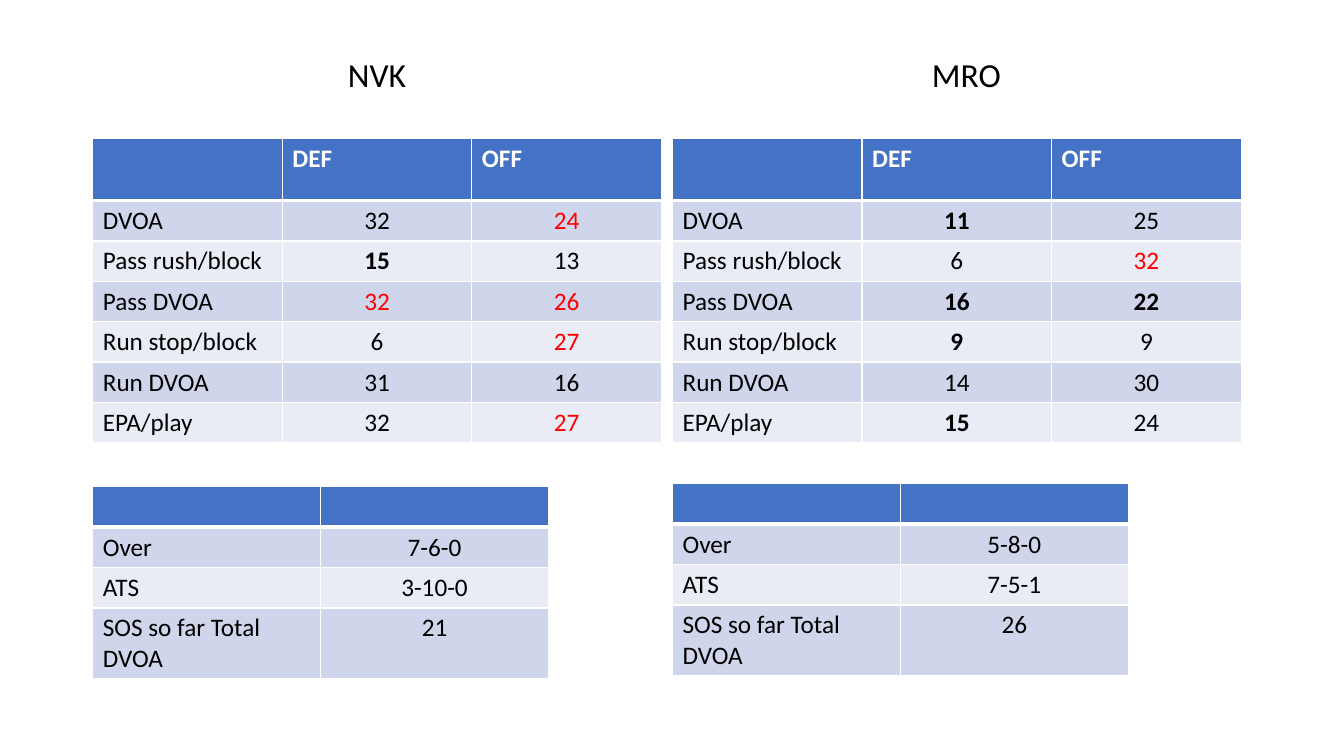
"""Build a slide comparing two teams in tables, where * marks a bold value and ! a red one."""
import pptx
import pptx.dml.color
import pptx.enum.text
import pptx.oxml
import pptx.oxml.ns
import pptx.util

Inches = pptx.util.Inches
Pt = pptx.util.Pt
CENTER = pptx.enum.text.PP_ALIGN.CENTER
HEADER_FILL = "4472C4"
BAND_FILLS = ["E9EBF5", "CFD5EA"]
HEADER_RULE = (
    f'<a:lnB {pptx.oxml.ns.nsdecls("a")} w="{Pt(3)}">'
    '<a:solidFill><a:srgbClr val="FFFFFF"/></a:solidFill></a:lnB>')


def color(hex_string):
    return pptx.dml.color.RGBColor.from_string(hex_string)


def add_grid(slide, left, top, column_width, row_heights, rows):
    column_count = len(rows[0])
    table = slide.shapes.add_table(
        len(rows), column_count, Inches(left), Inches(top),
        Inches(column_width * column_count), Inches(sum(row_heights))).table
    for column in table.columns:
        column.width = Inches(column_width)
    for row_index, values in enumerate(rows):
        table.rows[row_index].height = Inches(row_heights[row_index])
        is_header = row_index == 0
        for column_index, value in enumerate(values):
            cell = table.cell(row_index, column_index)
            cell.fill.solid()
            cell.fill.fore_color.rgb = color(HEADER_FILL if is_header else BAND_FILLS[row_index % 2])
            if is_header:
                cell._tc.get_or_add_tcPr().insert(0, pptx.oxml.parse_xml(HEADER_RULE))
            paragraph = cell.text_frame.paragraphs[0]
            paragraph.text = value.rstrip("*!")
            if column_index and not is_header:
                paragraph.alignment = CENTER
            for run in paragraph.runs:
                run.font.name = "Calibri"
                run.font.size = Pt(18)
                run.font.bold = is_header or value.endswith("*")
                text_color = "FF0000" if value.endswith("!") else "000000"
                run.font.color.rgb = color("FFFFFF" if is_header else text_color)


ranking_labels = ["DVOA", "Pass rush/block", "Pass DVOA", "Run stop/block", "Run DVOA", "EPA/play"]
record_labels = ["Over", "ATS", "SOS so far Total DVOA"]
teams = [
    {"name": "NVK", "title_left": 0.92, "title_width": 5.64, "left": 0.92, "record_top": 4.83,
     "defense": ["32", "15*", "32!", "6", "31", "32"],
     "offense": ["24!", "13", "26!", "27!", "16", "27!"],
     "records": ["7-6-0", "3-10-0", "21"]},
    {"name": "MRO", "title_left": 6.75, "title_width": 5.67, "left": 6.67, "record_top": 4.8,
     "defense": ["11*", "6", "16*", "9*", "14", "15*"],
     "offense": ["25", "32!", "22*", "9", "30", "24"],
     "records": ["5-8-0", "7-5-1", "26"]},
]

presentation = pptx.Presentation()
presentation.slide_width = Inches(13.33)
presentation.slide_height = Inches(7.5)
slide = presentation.slides.add_slide(presentation.slide_layouts[6])

for team in teams:
    title = slide.shapes.add_textbox(
        Inches(team["title_left"]), Inches(0.09), Inches(team["title_width"]), Inches(0.9))
    title.text_frame.word_wrap = True
    title.text_frame.vertical_anchor = pptx.enum.text.MSO_ANCHOR.BOTTOM
    paragraph = title.text_frame.paragraphs[0]
    paragraph.text = team["name"]
    paragraph.alignment = CENTER
    paragraph.line_spacing = 0.9
    paragraph.space_before = Pt(10)
    font = paragraph.runs[0].font
    font.name = "Calibri"
    font.size = Pt(24)
    font.color.rgb = color("000000")

    rankings = [("", "DEF", "OFF"), *zip(ranking_labels, team["defense"], team["offense"])]
    add_grid(slide, team["left"], 1.37, 1.88, [0.62] + [0.4] * 6, rankings)
    records = [("", ""), *zip(record_labels, team["records"])]
    add_grid(slide, team["left"], team["record_top"], 2.26, [0.4] * 3 + [0.7], records)

presentation.save("out.pptx")
